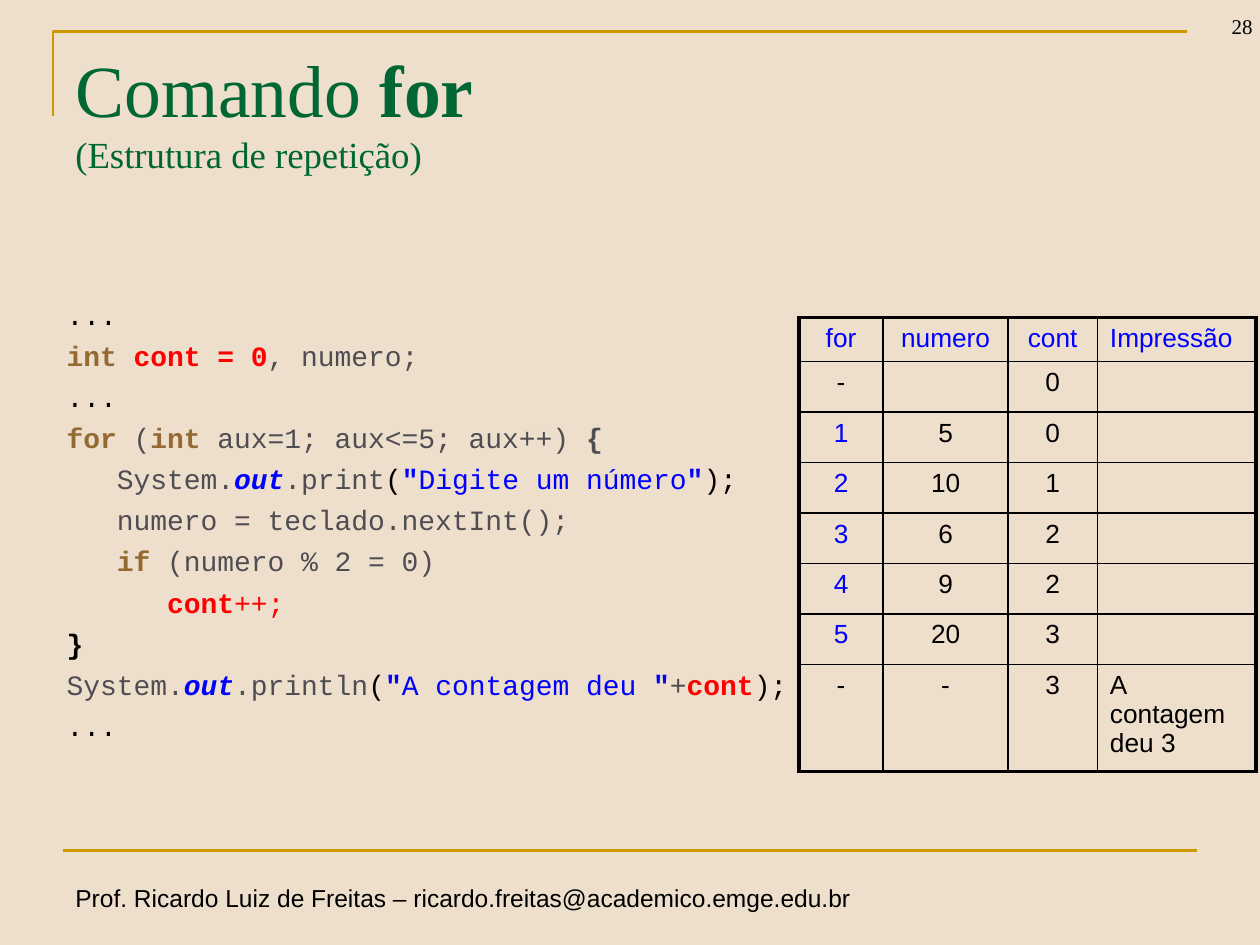
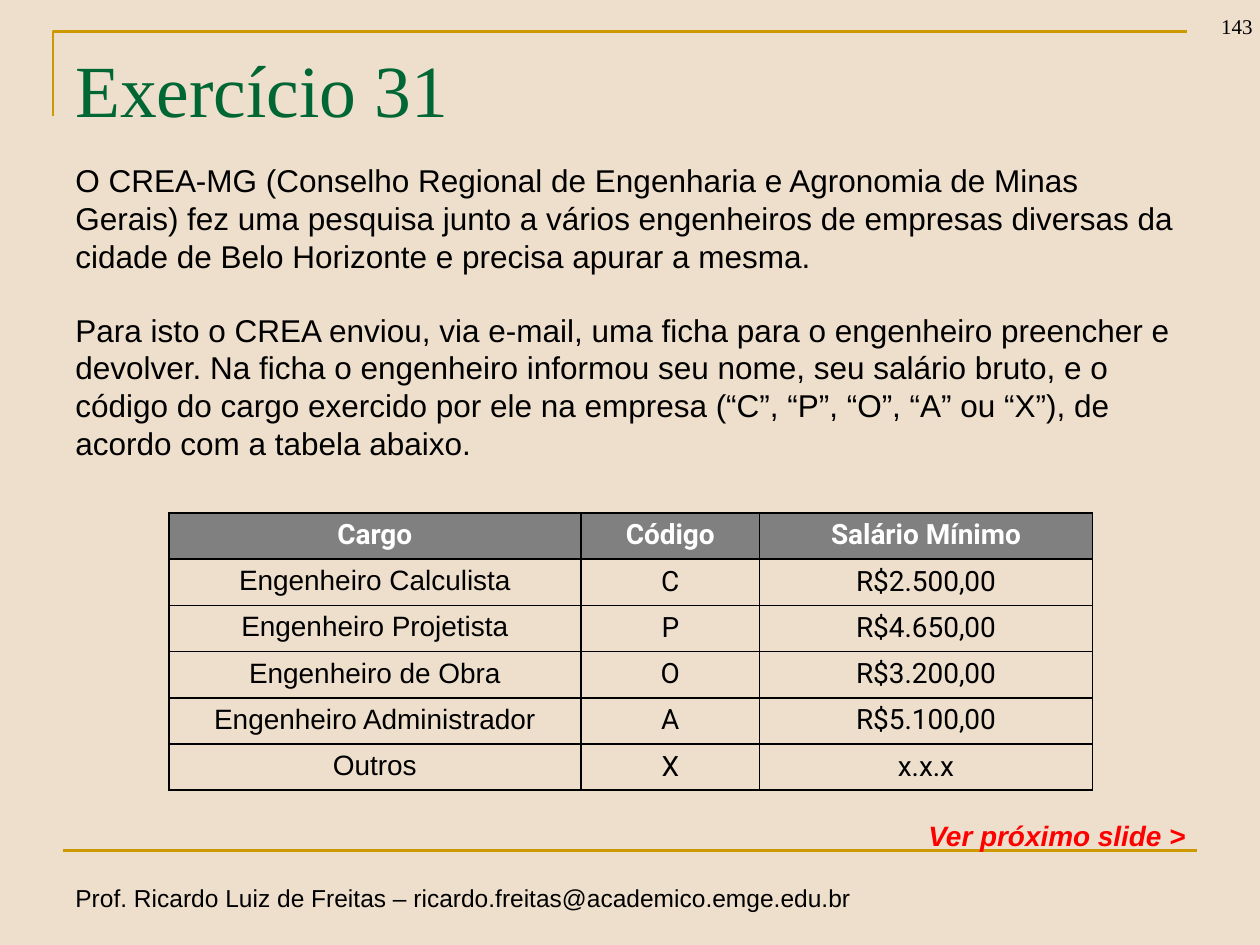
from dataclasses import dataclass

from lxml import etree
from pptx import Presentation
from pptx.dml.color import RGBColor
from pptx.enum.shapes import MSO_CONNECTOR
from pptx.enum.text import MSO_ANCHOR, PP_ALIGN
from pptx.oxml.ns import qn
from pptx.util import Inches, Pt

LEFT, CENTER, RIGHT = PP_ALIGN.LEFT, PP_ALIGN.CENTER, PP_ALIGN.RIGHT
BOTTOM = MSO_ANCHOR.BOTTOM
STRAIGHT = MSO_CONNECTOR.STRAIGHT


@dataclass(frozen=True)
class Theme:
    background: str = "EEDFCC"
    gold: str = "CC9900"
    green: str = "006633"
    black: str = "000000"
    white: str = "FFFFFF"
    grey: str = "808080"
    red: str = "FF0000"
    blue: str = "0000FF"
    brown: str = "946A32"
    slate: str = "4F4D52"
    serif: str = "Times New Roman"
    sans: str = "Arial"
    mono: str = "Courier New"
    header: str = "Roboto"
    title_size: float = 42
    subtitle_size: float = 21
    body_size: float = 18
    code_size: float = 16
    trace_size: float = 15
    footer_size: float = 14
    number_size: float = 12
    rule: float = 1.5
    thin: float = 1
    thick: float = 2.25


T = Theme()


def style(name, size, color, **extra):
    return {"name": name, "size": Pt(size), "color": color, **extra}


TITLE = style(T.serif, T.title_size, T.green)
SUBTITLE = style(T.serif, T.subtitle_size, T.green)
NUMBER = style(T.serif, T.number_size, T.black)
FOOTER = style(T.sans, T.footer_size, T.black)
BODY = style(T.sans, T.body_size, T.black)
NEXT = style(T.sans, T.code_size, T.red, bold=True, italic=True)
TRACE = style(T.sans, T.trace_size, T.black)
TRACE_BLUE = style(T.sans, T.trace_size, T.blue)
HEAD = style(T.header, T.code_size, T.white, bold=True)
ROLE = style(T.sans, T.code_size, T.black)
VALUE = style(T.header, T.code_size, T.black)

CODE = {
    "plain": style(T.mono, T.code_size, T.slate),
    "brace": style(T.mono, T.code_size, T.slate, bold=True),
    "black": style(T.mono, T.code_size, T.black),
    "end": style(T.mono, T.code_size, T.black, bold=True),
    "keyword": style(T.mono, T.code_size, T.brown, bold=True),
    "count": style(T.mono, T.code_size, T.red, bold=True),
    "red": style(T.mono, T.code_size, T.red),
    "field": style(T.mono, T.code_size, T.blue, bold=True, italic=True),
    "quote": style(T.mono, T.code_size, T.blue, bold=True),
    "string": style(T.mono, T.code_size, T.blue),
}


def print_call(indent, method, text):
    """Runs of a System.out call up to the closing quote of its text."""
    return [(indent + "System.", "plain"), ("out", "field"), (method, "plain"),
            ("(", "black"), ('"', "quote"), (text, "string"), ('"', "quote")]


CODE_LINES = [
    [("...", "black")],
    [("int ", "keyword"), ("cont = 0", "count"), (", numero;", "plain")],
    [("...", "black")],
    [("for ", "keyword"), ("(", "plain"), ("int ", "keyword"),
     ("aux=1; aux<=5; aux++) ", "plain"), ("{", "brace")],
    print_call("   ", ".print", "Digite um número") + [(");", "black")],
    [("   numero = teclado.nextInt();", "plain")],
    [("   if", "keyword"), (" (numero % 2 = 0)", "plain")],
    [("      cont", "count"), ("++;", "red")],
    [("}", "end")],
    print_call("", ".println", "A contagem deu ")
    + [("+", "plain"), ("cont", "count"), (");", "black")],
    [("...", "black")],
]

TRACE_ROWS = [
    ("for", "numero", "cont", "Impressão"),
    ("-", "", "0", ""),
    ("1", "5", "0", ""),
    ("2", "10", "1", ""),
    ("3", "6", "2", ""),
    ("4", "9", "2", ""),
    ("5", "20", "3", ""),
    ("-", "-", "3", "A contagem deu 3"),
]

SALARY_ROWS = [
    ("Cargo", "Código", "Salário Mínimo"),
    ("Engenheiro Calculista", "C", "R$2.500,00"),
    ("Engenheiro Projetista", "P", "R$4.650,00"),
    ("Engenheiro de Obra", "O", "R$3.200,00"),
    ("Engenheiro Administrador", "A", "R$5.100,00"),
    ("Outros", "X", "x.x.x"),
]

EXERCISE = [
    "O CREA-MG (Conselho Regional de Engenharia e Agronomia de Minas Gerais) fez "
    "uma pesquisa junto a vários engenheiros de empresas diversas da cidade de "
    "Belo Horizonte e precisa apurar a mesma.",
    "Para isto o CREA enviou, via e-mail, uma ficha para o engenheiro preencher e "
    "devolver. Na ficha o engenheiro informou seu nome, seu salário bruto, e o "
    "código do cargo exercido por ele na empresa (“C”, “P”, “O”, “A” ou “X”), de "
    "acordo com a tabela abaixo.",
]


def add_run(p, text, fmt):
    r = p.add_run()
    r.text = text
    for key, value in fmt.items():
        if key == "color":
            r.font.color.rgb = RGBColor.from_string(value)
        else:
            setattr(r.font, key, value)


def add_text(s, box, paragraphs, align=LEFT, gap=0, wrap=True, anchor=None, **spacing):
    """Text box from paragraphs, each a list of (text, format) runs."""
    tf = s.shapes.add_textbox(*map(Inches, box)).text_frame
    tf.word_wrap = wrap
    if anchor is not None:
        tf.vertical_anchor = anchor
    for i, runs in enumerate(paragraphs):
        p = tf.add_paragraph() if i else tf.paragraphs[0]
        p.alignment = align
        if i:
            p.space_before = Pt(gap)
        for key, value in spacing.items():
            setattr(p, key, value)
        for text, fmt in runs:
            if text == "\n":
                p.add_line_break()
            else:
                add_run(p, text, fmt)


def set_borders(cell, widths):
    """Black borders; widths are in points for left, right, top, bottom."""
    tc_pr = cell._tc.get_or_add_tcPr()
    for i, (side, width) in enumerate(zip(("lnL", "lnR", "lnT", "lnB"), widths)):
        ln = etree.Element(qn(f"a:{side}"), w=str(Pt(width)))
        fill = etree.SubElement(ln, qn("a:solidFill"))
        etree.SubElement(fill, qn("a:srgbClr"), val=T.black)
        tc_pr.insert(i, ln)


def add_grid(s, left, top, cols, heights, rows, cell_format, outer=T.thin):
    """Bordered table; cell_format(row, col) gives run format, alignment, fill."""
    box = map(Inches, (left, top, sum(cols), sum(heights)))
    table = s.shapes.add_table(len(rows), len(cols), *box).table
    for col, width in zip(table.columns, cols):
        col.width = Inches(width)
    for i, (values, height) in enumerate(zip(rows, heights)):
        table.rows[i].height = Inches(height)
        for j, value in enumerate(values):
            cell = table.cell(i, j)
            fmt, align, fill = cell_format(i, j)
            if fill:
                cell.fill.solid()
                cell.fill.fore_color.rgb = RGBColor.from_string(fill)
            else:
                cell.fill.background()
            p = cell.text_frame.paragraphs[0]
            p.alignment = align
            add_run(p, value, fmt)
            edges = (j == 0, j == len(cols) - 1, i == 0, i == len(rows) - 1)
            set_borders(cell, [outer if edge else T.thin for edge in edges])


def style_rule(shape):
    shape.line.color.rgb = RGBColor.from_string(T.gold)
    shape.line.width = Pt(T.rule)


def add_frame(s, number):
    """Gold rules, footer and slide number."""
    builder = s.shapes.build_freeform(Inches(0.42), Inches(0.92))
    corner = [(Inches(0.42), Inches(0.25)), (Inches(9.42), Inches(0.25))]
    builder.add_line_segments(corner, close=False)
    bracket = builder.convert_to_shape()
    bracket.shadow.inherit = False
    bracket.fill.background()
    style_rule(bracket)

    ends = map(Inches, (0.5, 6.75, 9.5, 6.75))
    footer_rule = s.shapes.add_connector(STRAIGHT, *ends)
    style_rule(footer_rule)
    etree.SubElement(footer_rule._element.spPr, qn("a:effectLst"))

    credit = "Prof. Ricardo Luiz de Freitas – ricardo.freitas@academico.emge.edu.br"
    add_text(s, (0.5, 6.96, 6.38, 0.34), [[(credit, FOOTER)]])
    add_text(s, (9.29, -0.14, 0.75, 0.5), [[(number, NUMBER)]], RIGHT, anchor=BOTTOM)


def new_slide(prs, number, title_runs):
    s = prs.slides.add_slide(prs.slide_layouts[6])
    add_frame(s, number)
    add_text(s, (0.5, 0.3, 9, 1.25), [title_runs])
    return s


def trace_format(row, col):
    blue = row == 0 or (col == 0 and row < len(TRACE_ROWS) - 1 and row > 1)
    return TRACE_BLUE if blue else TRACE, LEFT if col == 3 else CENTER, None


def salary_format(row, col):
    if row == 0:
        return HEAD, CENTER, T.grey
    return VALUE if col else ROLE, CENTER, None


def build_for_slide(prs):
    s = new_slide(prs, "28", [("Comando ", TITLE), ("for", {**TITLE, "bold": True}),
                              ("\n", None), ("(Estrutura de repetição)", SUBTITLE)])
    lines = [[(text, CODE[kind]) for text, kind in line] for line in CODE_LINES]
    add_text(s, (0.43, 2.31, 5.99, 3.42), lines, gap=4.3)
    add_grid(s, 6.34, 2.52, (0.67, 0.99, 0.71, 1.26),
             (0.35, 0.38, *[0.35] * 4, 0.37, 0.8), TRACE_ROWS, trace_format, T.thick)


def build_exercise_slide(prs):
    s = new_slide(prs, "143", [("Exercício 31", TITLE)])
    add_text(s, (0.5, 1.23, 9, 2.76), [[(text, BODY)] for text in EXERCISE], gap=20.6)
    add_grid(s, 1.34, 4.07, (3.27, 1.42, 2.64), [0.36] * len(SALARY_ROWS),
             SALARY_ROWS, salary_format)
    add_text(s, (7.24, 6.48, 2.27, 0.34), [[("Ver próximo slide >", NEXT)]], RIGHT,
             wrap=False, line_spacing=0.9)


def main():
    prs = Presentation()
    prs.slide_width, prs.slide_height = Inches(10), Inches(7.5)
    fill = prs.slide_master.background.fill
    fill.solid()
    fill.fore_color.rgb = RGBColor.from_string(T.background)
    build_for_slide(prs)
    build_exercise_slide(prs)
    prs.save("out.pptx")


if __name__ == "__main__":
    main()
